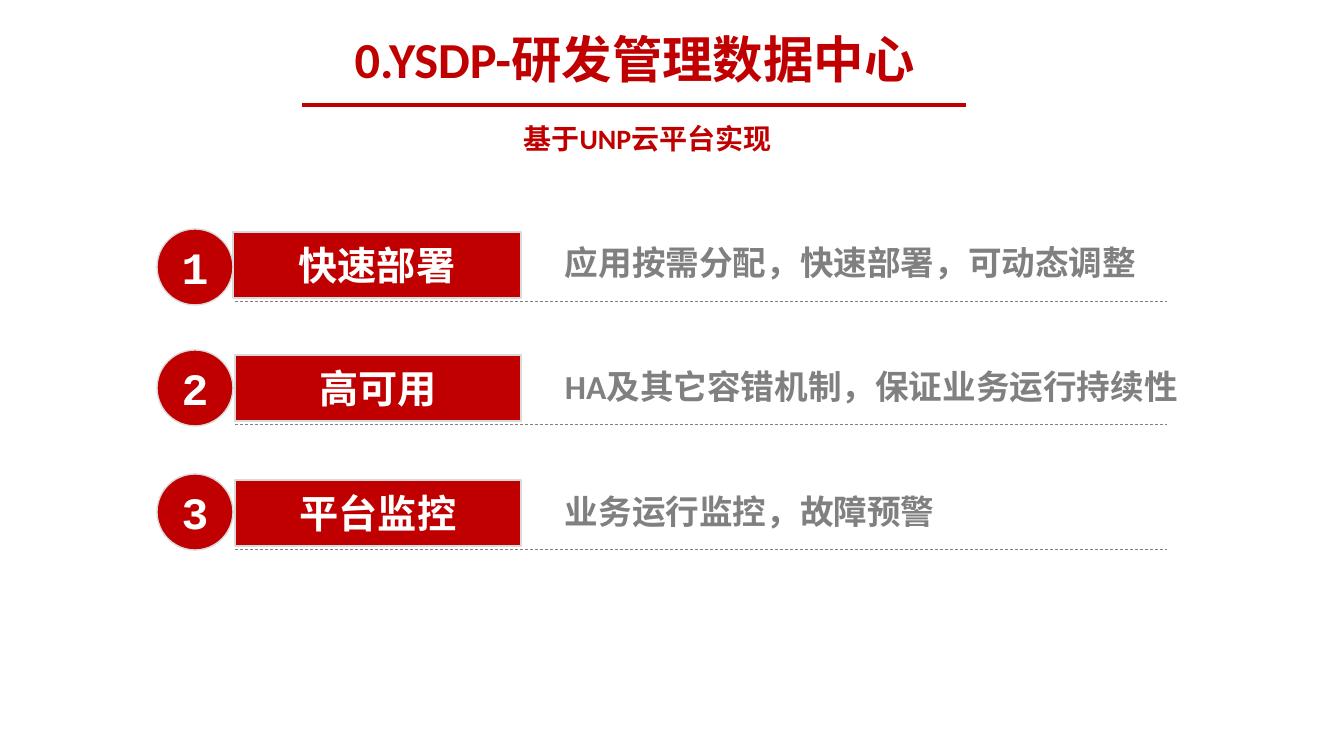
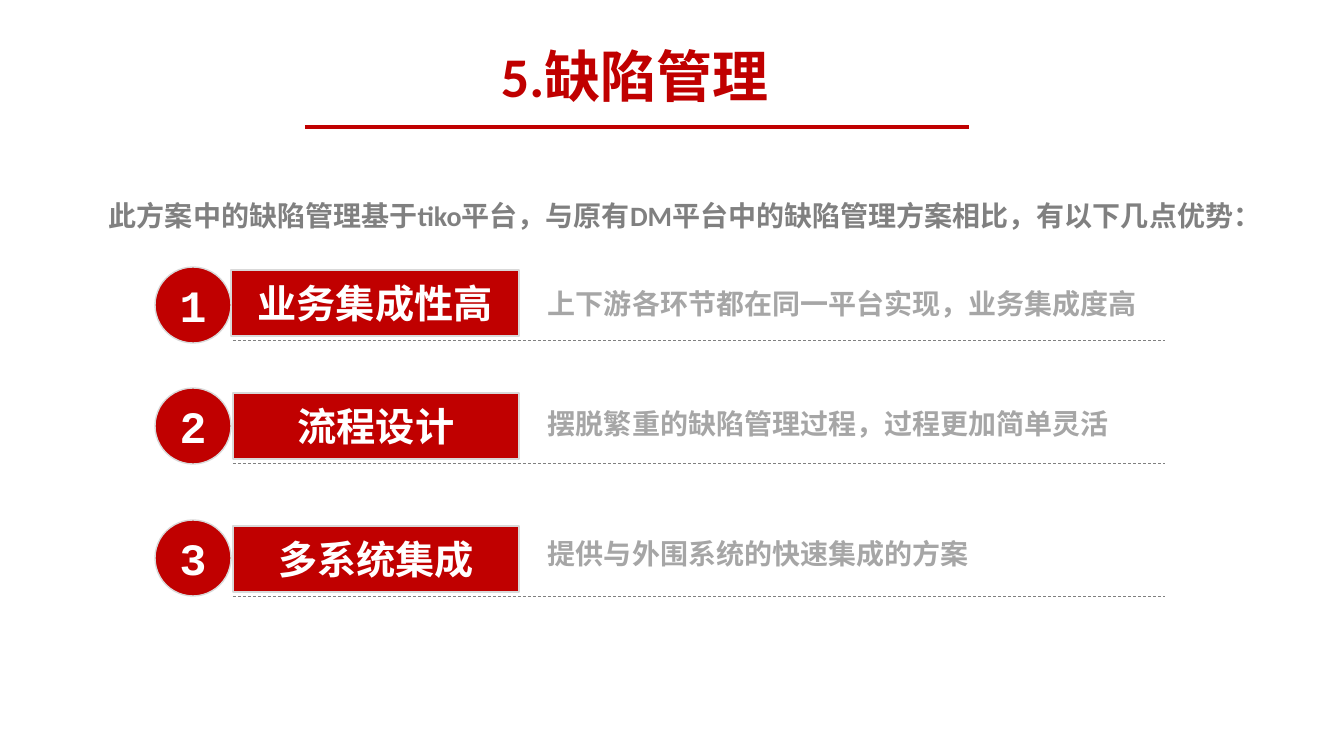
from lxml import etree
from pptx import Presentation, util as u
from pptx.dml.color import RGBColor
from pptx.enum import dml, lang, shapes, text
from pptx.oxml.ns import qn

PX = u.Inches(7.5) / 756
RED, WHITE, EDGE = "C00000", "FFFFFF", "D9D9D9"
GREY, LIGHT_GREY = "808080", "A6A6A6"
CIRCLE = 76
BAR_RIGHT, BAR_HEIGHT = 521, 66
RULE_LEFT, RULE_RIGHT = 235, 1167

# Per row: left edge of the bar, rise of the circle above the bar
ROW_STYLE = [(233, 3), (235, 5), (235, 6)]

# Per row: bar top, heading, description top, description
SLIDES = [
    dict(title="0.YSDP-研发管理数据中心", title_top=23, title_size=36,
         rule=(302, 966, 105), shift=0, rule_drop=69,
         lead=dict(value="基于UNP云平台实现", box=(219, 117, 857, 51),
                   color=RED, align=text.PP_ALIGN.CENTER),
         note_left=555, note_size=24, note_color=GREY,
         rows=[(232, "快速部署", 237, "应用按需分配，快速部署，可动态调整"),
               (355, "高可用", 361, "HA及其它容错机制，保证业务运行持续性"),
               (480, "平台监控", 486, "业务运行监控，故障预警")]),
    dict(title="5.缺陷管理", title_top=36, title_size=40,
         rule=(305, 969, 127), shift=-2, rule_drop=70,
         lead=dict(value="此方案中的缺陷管理基于tiko平台，与原有DM平台中的缺陷管理方案相比，有以下几点优势：",
                   box=(99, 194, 1200, 51), color=GREY,
                   align=text.PP_ALIGN.LEFT),
         note_left=538, note_size=20, note_color=LIGHT_GREY,
         rows=[(270, "业务集成性高", 282, "上下游各环节都在同一平台实现，业务集成度高"),
               (393, "流程设计", 402, "摆脱繁重的缺陷管理过程，过程更加简单灵活"),
               (526, "多系统集成", 532, "提供与外围系统的快速集成的方案")]),
]


def px(*lengths):
    return [u.Emu(round(length * PX)) for length in lengths]


def rgb(color):
    return RGBColor.from_string(color)


def write(shape, value, size, color, font="Calibri",
          align=text.PP_ALIGN.LEFT, anchor=text.MSO_ANCHOR.TOP, wrap=True):
    frame = shape.text_frame
    frame.word_wrap = wrap
    frame.auto_size = text.MSO_AUTO_SIZE.NONE
    frame.vertical_anchor = anchor
    paragraph = frame.paragraphs[0]
    paragraph.alignment = align
    run = paragraph.add_run()
    run.text = value
    run.font.name, run.font.size, run.font.bold = font, u.Pt(size), True
    run.font.color.rgb = rgb(color)
    run.font.language_id = lang.MSO_LANGUAGE_ID.SIMPLIFIED_CHINESE


def add_rule(slide, left, right, y, color, width, dash=None):
    rule = slide.shapes.add_connector(
        shapes.MSO_CONNECTOR.STRAIGHT, *px(left, y, right, y))
    rule.line.color.rgb = rgb(color)
    rule.line.width = u.Pt(width)
    if dash:
        rule.line.dash_style = dash
    etree.SubElement(rule._element.spPr, qn("a:effectLst"))


def add_label(slide, preset, box, value, size, font="Calibri"):
    """Red shape with a pale edge and centred white text."""
    label = slide.shapes.add_shape(preset, *px(*box))
    label.shadow.inherit = False
    label.fill.solid()
    label.fill.fore_color.rgb = rgb(RED)
    label.line.color.rgb = rgb(EDGE)
    label.line.width = u.Pt(1)
    write(label, value, size, WHITE, font, text.PP_ALIGN.CENTER,
          text.MSO_ANCHOR.MIDDLE, wrap=False)


prs = Presentation()
prs.slide_width, prs.slide_height = px(1344, 756)
title_only = prs.slide_layouts.get_by_name("Title Only")

for content in SLIDES:
    slide = prs.slides.add_slide(title_only)
    title = slide.shapes.title
    title.left, title.top, title.width, title.height = px(
        206, content["title_top"], 857, 93)
    write(title, content["title"], content["title_size"], RED,
          align=text.PP_ALIGN.CENTER)
    add_rule(slide, *content["rule"], RED, 3)

    lead = content["lead"]
    lead_box = slide.shapes.add_textbox(*px(*lead["box"]))
    write(lead_box, lead["value"], 20, lead["color"], align=lead["align"])

    shift = content["shift"]
    for number, (row, style) in enumerate(zip(content["rows"], ROW_STYLE), 1):
        bar_top, heading, note_top, note = row
        bar_left, rise = style
        add_label(slide, shapes.MSO_SHAPE.RECTANGLE,
                  (bar_left + shift, bar_top, BAR_RIGHT - bar_left, BAR_HEIGHT),
                  heading, 28)
        add_label(slide, shapes.MSO_SHAPE.OVAL,
                  (157 + shift, bar_top - rise, CIRCLE, CIRCLE),
                  str(number), 32, "Courier New")
        add_rule(slide, RULE_LEFT + shift, RULE_RIGHT + shift,
                 bar_top + content["rule_drop"], GREY, 0.5,
                 dml.MSO_LINE.DASH)
        note_box = slide.shapes.add_textbox(
            *px(content["note_left"], note_top, 740, 61))
        write(note_box, note, content["note_size"], content["note_color"])

prs.save("out.pptx")
